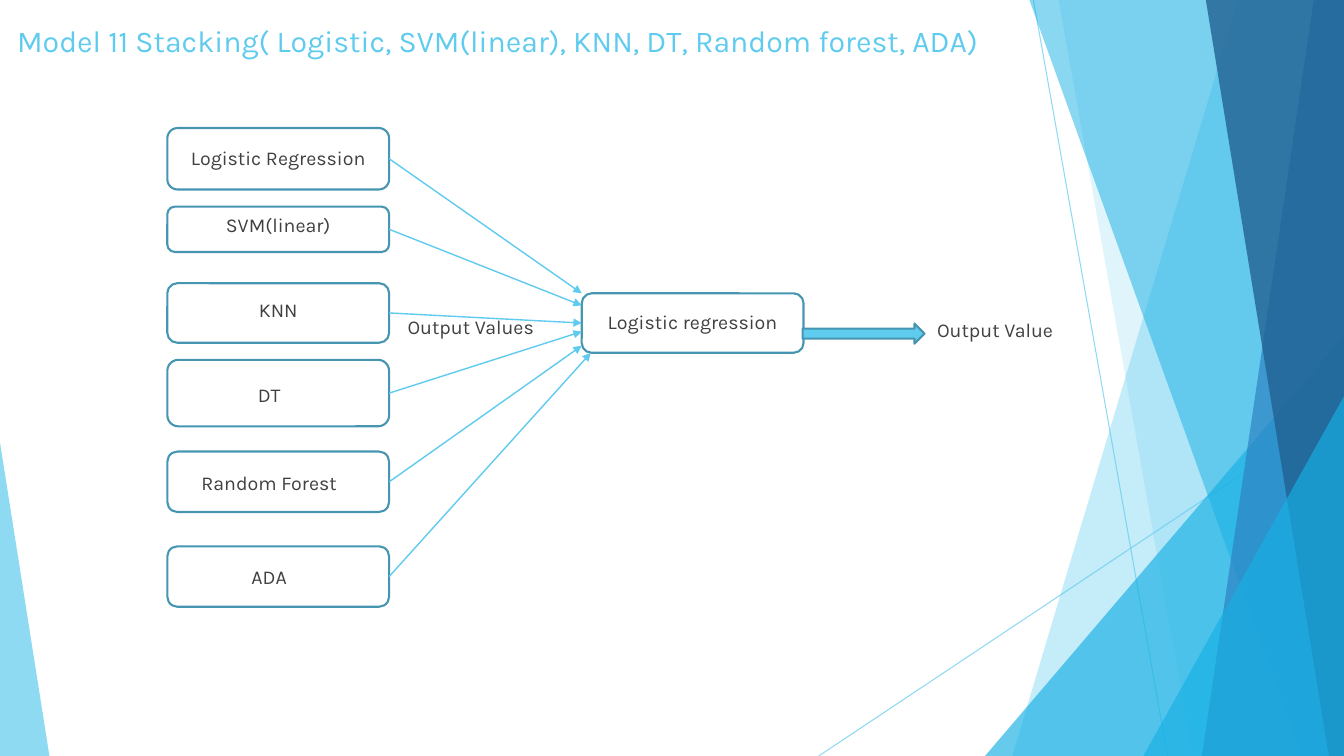
from dataclasses import dataclass

from lxml import etree
from pptx import Presentation
from pptx import util as u
from pptx.dml.color import RGBColor
from pptx.enum import shapes, text
from pptx.oxml import ns


@dataclass(frozen=True)
class Theme:
    font: str = "Karla"
    title_size: float = 21.6
    label_size: float = 14
    sky: str = "5FCBEF"
    azure: str = "17B0E4"
    blue: str = "2E83C3"
    navy: str = "226292"
    outline: str = "4696B1"
    ink: str = "404040"


THEME = Theme()
WIDTH, HEIGHT = 13.33, 7.5
BOX_WIDTH = 2.2
LABEL_WIDTH = 2.02


# Shared helpers
def inches(*lengths):
    return [u.Inches(length) for length in lengths]


def set_color(color_format, color, opacity=100):
    color_format.rgb = RGBColor.from_string(color)
    if opacity < 100:
        element = color_format._xFill.find(ns.qn("a:srgbClr"))
        etree.SubElement(element, ns.qn("a:alpha"), val=str(opacity * 1000))


def paint(shape, fill=None, opacity=100, line=None):
    shape.shadow.inherit = False
    if fill:
        shape.fill.solid()
        set_color(shape.fill.fore_color, fill, opacity)
    else:
        shape.fill.background()
    if line:
        shape.line.color.rgb = RGBColor.from_string(line)
        shape.line.width = u.Pt(1.5)
    else:
        shape.line.fill.background()


def write(shape, words, size, color, align):
    frame = shape.text_frame
    frame.word_wrap = True
    frame.auto_size = text.MSO_AUTO_SIZE.NONE
    frame.vertical_anchor = text.MSO_ANCHOR.TOP
    paragraph = frame.paragraphs[0]
    paragraph.alignment = align
    run = paragraph.add_run()
    run.text = words
    run.font.name = THEME.font
    run.font.size = u.Pt(size)
    run.font.color.rgb = RGBColor.from_string(color)


def add_label(slide, words, left, top, height=0.38):
    label = slide.shapes.add_textbox(*inches(left, top, LABEL_WIDTH, height))
    write(label, words, THEME.label_size, THEME.ink, text.PP_ALIGN.CENTER)


def add_box(slide, left, top, height):
    box = slide.shapes.add_shape(shapes.MSO_SHAPE.ROUNDED_RECTANGLE,
                                 *inches(left, top, BOX_WIDTH, height))
    paint(box, line=THEME.outline)
    return box


def add_line(slide, start, end, width, opacity=100, arrow=False):
    line = slide.shapes.add_connector(shapes.MSO_CONNECTOR.STRAIGHT,
                                      *inches(*start, *end))
    line.line.width = u.Pt(width)
    line.line.fill.solid()
    set_color(line.line.fill.fore_color, THEME.sky, opacity)
    if arrow:
        etree.SubElement(line.line._get_or_add_ln(), ns.qn("a:tailEnd"), type="triangle")
    etree.SubElement(line._element.spPr, ns.qn("a:effectLst"))
    return line


# Facets along the slide edges
def add_band(slide, right, bottom, top_x, bottom_x, color, opacity):
    builder = slide.shapes.build_freeform(*inches(top_x, 0), scale=1.0)
    corners = [(right, 0), (right, bottom), (bottom_x, bottom)]
    builder.add_line_segments([inches(*corner) for corner in corners], close=True)
    paint(builder.convert_to_shape(), color, opacity)


def add_corner(slide, left, bottom, width, height, apex, color, opacity):
    corner = slide.shapes.add_shape(shapes.MSO_SHAPE.ISOSCELES_TRIANGLE,
                                    *inches(left, bottom - height, width, height))
    corner.adjustments[0] = apex
    paint(corner, color, opacity)


def add_facets(slide, left, top, width, height):
    right, bottom = left + width, top + height
    add_line(slide, (right - 3.08, top), (right - 1.75, bottom), 0.75, 70)
    add_line(slide, (right, bottom - 3.47), (right - 5.21, bottom), 0.75, 70)
    add_band(slide, right, bottom, right - 1.05, right - 3.29, THEME.sky, 36)
    add_band(slide, right, bottom, right - 2.83, right - 1.5, THEME.sky, 20)
    add_corner(slide, right - 3.56, bottom, 3.56, 4.17, 1, THEME.azure, 66)
    add_band(slide, right, bottom, right - 3.12, right - 0.42, THEME.azure, 50)
    add_band(slide, right, bottom, right - 0.3, right - 1.41, THEME.blue, 70)
    add_band(slide, right, bottom, right - 1.37, right - 0.15, THEME.navy, 80)
    add_corner(slide, right - 1.99, bottom, 1.99, 3.57, 1, THEME.azure, 66)
    add_corner(slide, left, bottom, 0.49, 3.11, 0, THEME.sky, 70)


# Title
def add_title(slide, left, top, width, height):
    title = slide.shapes.title
    title.left, title.top, title.width, title.height = inches(left, top, width, height)
    write(title, "Model 11 Stacking( Logistic, SVM(linear), KNN, DT, Random forest, ADA)",
          THEME.title_size, THEME.sky, text.PP_ALIGN.LEFT)


# Base models feeding the final model
def add_stacking(slide, left, top):
    final_left, final_top = left + 4.11, top + 1.64
    # Name, box top and height, label offset, arrow end; None joins the side's middle
    models = [
        ("Logistic Regression", 0, 0.61, 0.09, 0.13, (0, 0)),
        ("SVM(linear)", 0.78, 0.45, 0.09, 0.01, (0, 0.12)),
        ("KNN", 1.54, 0.59, 0.09, 0.1, None),
        ("DT", 2.3, 0.66, 0, 0.18, (0, 0.38)),
        ("Random Forest", 3.21, 0.6, 0, 0.14, (0, 0.52)),
        ("ADA", 4.15, 0.6, 0, 0.13, (0.09, 0.59)),
    ]
    final_box = add_box(slide, final_left, final_top, 0.59)
    add_label(slide, "Logistic regression", final_left + 0.09, final_top + 0.12)

    for name, offset, height, label_x, label_y, target in models:
        box_top = top + offset
        box = add_box(slide, left, box_top, height)
        add_label(slide, name, left + label_x, box_top + label_y, 0.48)
        end_x, end_y = target or (0, 0.3)
        arrow = add_line(slide, (left + BOX_WIDTH, box_top + height / 2),
                         (final_left + end_x, final_top + end_y), 1, arrow=True)
        arrow.begin_connect(box, 3)
        if target is None:
            arrow.end_connect(final_box, 1)

    add_label(slide, "Output Values", left + 2, top + 1.8)


# Final output
def add_output(slide, left, top):
    arrow = slide.shapes.add_shape(shapes.MSO_SHAPE.RIGHT_ARROW,
                                   *inches(left, top, 1.21, 0.2))
    paint(arrow, THEME.sky, line=THEME.outline)
    add_label(slide, "Output Value", left + 0.9, top - 0.11)


def main():
    presentation = Presentation()
    presentation.slide_width, presentation.slide_height = inches(WIDTH, HEIGHT)
    slide = presentation.slides.add_slide(presentation.slide_layouts[5])
    add_facets(slide, 0, 0, WIDTH, HEIGHT)
    add_title(slide, 0.07, 0.17, 10.21, 0.72)
    add_stacking(slide, 1.66, 1.27)
    add_output(slide, 7.96, 3.21)
    presentation.save("out.pptx")


if __name__ == "__main__":
    main()
